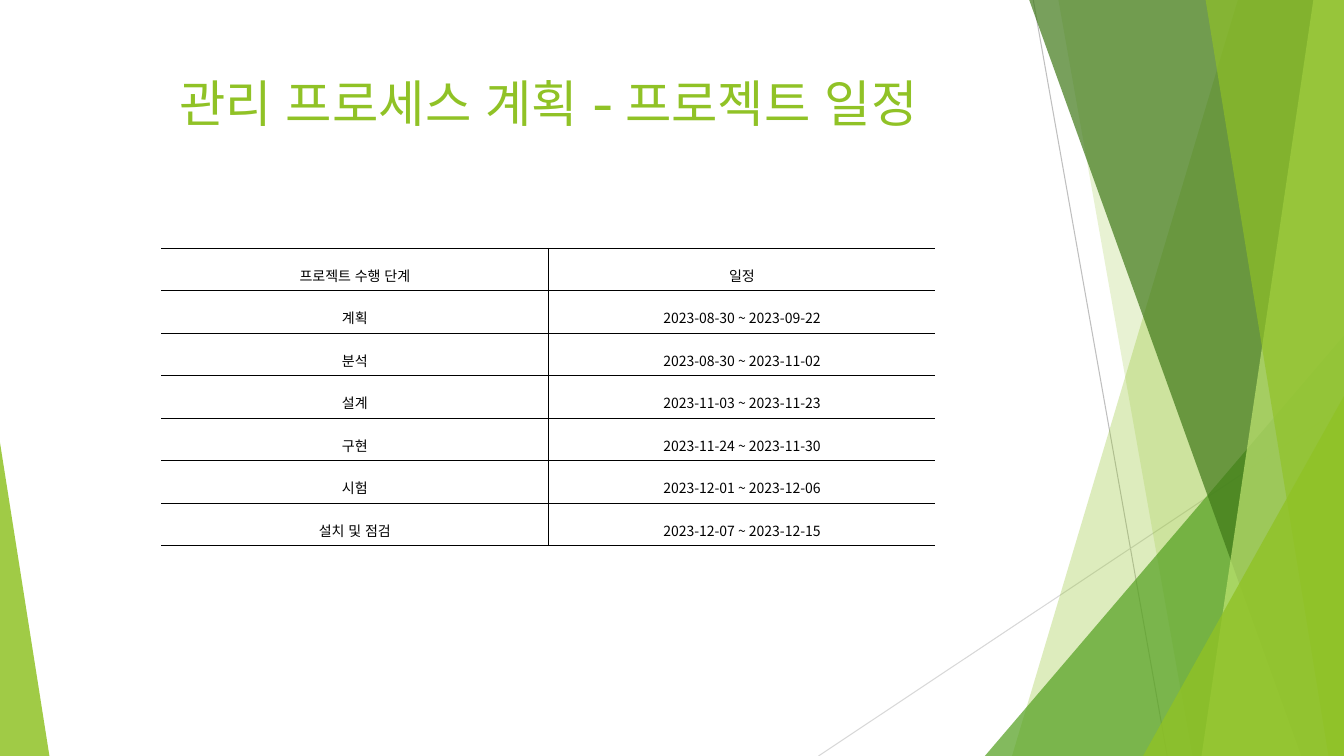
from typing import NamedTuple

from lxml.etree import SubElement
from pptx import Presentation
from pptx.dml.color import RGBColor as Rgb
from pptx.enum.lang import MSO_LANGUAGE_ID as Lang
from pptx.enum.shapes import MSO_CONNECTOR as Conn, MSO_SHAPE as Kind
from pptx.enum.text import MSO_ANCHOR as Anchor, PP_ALIGN as Align
from pptx.oxml import parse_xml as to_xml
from pptx.oxml.ns import qn
from pptx.util import Inches, Pt

WIDE, HIGH = Inches(13.33), Inches(7.5)
HUES = {"lime": "90C226", "leaf": "54A021", "moss": "3F7818", "pale": "BFE471",
        "gray": "BFBFBF", "mist": "D8D8D8", "ink": "000000"}
HAN = "Noto Sans CJK KR"
NS = "http://schemas.openxmlformats.org/drawingml/2006/main"


# Places and sizes are percent of the slide's width (x) or height (y).
class Ray(NamedTuple):
    x1: float
    y1: float
    x2: float
    y2: float
    hue: str


class Band(NamedTuple):
    """Reaches from a slanted left edge to the slide's right edge."""
    top: float
    foot: float
    hue: str
    alpha: int


class Wedge(NamedTuple):
    """Right triangle on the slide's foot, with its tip at a share of its width."""
    x: float
    y: float
    wide: float
    tip: int
    hue: str
    alpha: int


RAYS = [Ray(76.88, 0, 86.85, 100, "gray"), Ray(100, 53.73, 60.9, 100, "mist")]
DECOR = [
    Band(92.1, 75.3, "lime", 30),
    Band(78.75, 88.72, "lime", 20),
    Wedge(73.28, 44.4, 26.72, 1, "leaf", 72),
    Band(76.58, 96.82, "moss", 70),
    Band(97.72, 89.4, "pale", 70),
    Band(89.7, 98.85, "lime", 65),
    Wedge(85.05, 52.4, 14.95, 1, "lime", 80),
    Wedge(0, 58.53, 3.68, 0, "lime", 85),
]
PLAN = [
    ("프로젝트 수행 단계", "일정"),
    ("계획", "2023-08-30 ~ 2023-09-22"),
    ("분석", "2023-08-30 ~ 2023-11-02"),
    ("설계", "2023-11-03 ~ 2023-11-23"),
    ("구현", "2023-11-24 ~ 2023-11-30"),
    ("시험", "2023-12-01 ~ 2023-12-06"),
    ("설치 및 점검", "2023-12-07 ~ 2023-12-15"),
]
ROW = 5.62


def across(part: float) -> int:
    return round(WIDE * part / 100)


def down(part: float) -> int:
    return round(HIGH * part / 100)


def color(name: str) -> Rgb:
    return Rgb.from_string(HUES[name])


def tint(shape, hue: str, alpha: int) -> None:
    shape.shadow.inherit = False
    shape.line.fill.background()
    shape.fill.solid()
    shape.fill.fore_color.rgb = color(hue)
    tone = shape.fill._xPr.find(f".//{qn('a:srgbClr')}")
    SubElement(tone, qn("a:alpha")).set("val", str(alpha * 1000))


def add_ray(slide, ray: Ray) -> None:
    line = slide.shapes.add_connector(Conn.STRAIGHT, across(ray.x1), down(ray.y1),
                                      across(ray.x2), down(ray.y2))
    line.line.color.rgb = color(ray.hue)
    line.line.width = Pt(0.75)
    SubElement(line._element.spPr, qn("a:effectLst"))


def add_band(slide, band: Band) -> None:
    pen = slide.shapes.build_freeform(across(band.top), 0)
    pen.add_line_segments([(WIDE, 0), (WIDE, HIGH), (across(band.foot), HIGH)])
    tint(pen.convert_to_shape(), band.hue, band.alpha)


def add_wedge(slide, wedge: Wedge) -> None:
    shape = slide.shapes.add_shape(
        Kind.ISOSCELES_TRIANGLE, across(wedge.x), down(wedge.y),
        across(wedge.wide), down(100 - wedge.y))
    shape.adjustments[0] = wedge.tip
    tint(shape, wedge.hue, wedge.alpha)


def write(para, text: str, size: int, face: str, hue: str) -> None:
    para.alignment = Align.CENTER
    run = para.add_run()
    run.text = text
    font = run.font
    font.size, font.name, font.language_id = Pt(size), face, Lang.KOREAN
    font.color.rgb = color(hue)
    SubElement(font._element, qn("a:ea")).set("typeface", HAN)


def add_title(slide, text: str) -> None:
    box = slide.shapes.add_textbox(across(5.55), down(8.93), across(70.5), down(19.2))
    frame = box.text_frame
    frame.word_wrap = True
    frame.vertical_anchor = Anchor.TOP
    write(frame.paragraphs[0], text, 36, "Cabin", "lime")


def rule(cell, sides: str) -> None:
    """Draw the named sides (of L, R, T, B) and hide the others."""
    props = cell._tc.get_or_add_tcPr()
    for spot, side in enumerate("LRTB"):
        fill = (f'<a:solidFill><a:srgbClr val="{HUES["ink"]}"/></a:solidFill>'
                if side in sides else "<a:noFill/>")
        props.insert(spot, to_xml(
            f'<a:ln{side} xmlns:a="{NS}" w="{Pt(0.28)}">{fill}</a:ln{side}>'))


def add_plan(slide) -> None:
    table = slide.shapes.add_table(len(PLAN), 2, across(12), down(32.8),
                                   across(57.6), down(ROW * len(PLAN))).table
    table.first_row = table.horz_banding = False
    for r, texts in enumerate(PLAN):
        table.rows[r].height = down(ROW)
        for c, text in enumerate(texts):
            cell = table.cell(r, c)
            cell.fill.background()
            cell.vertical_anchor = Anchor.MIDDLE
            cell.margin_left = cell.margin_right = Inches(0.07)
            cell.margin_top = cell.margin_bottom = Inches(0.02)
            para = cell.text_frame.paragraphs[0]
            para.line_spacing = 1.6
            write(para, text, 10, HAN, "ink")
            rule(cell, "LTB" if c else "RTB")


def main() -> None:
    deck = Presentation()
    deck.slide_width, deck.slide_height = WIDE, HIGH
    slide = deck.slides.add_slide(deck.slide_layouts[6])
    for ray in RAYS:
        add_ray(slide, ray)
    for part in DECOR:
        if isinstance(part, Band):
            add_band(slide, part)
        else:
            add_wedge(slide, part)
    add_title(slide, "관리 프로세스 계획 - 프로젝트 일정")
    add_plan(slide)
    deck.save("out.pptx")


if __name__ == "__main__":
    main()
